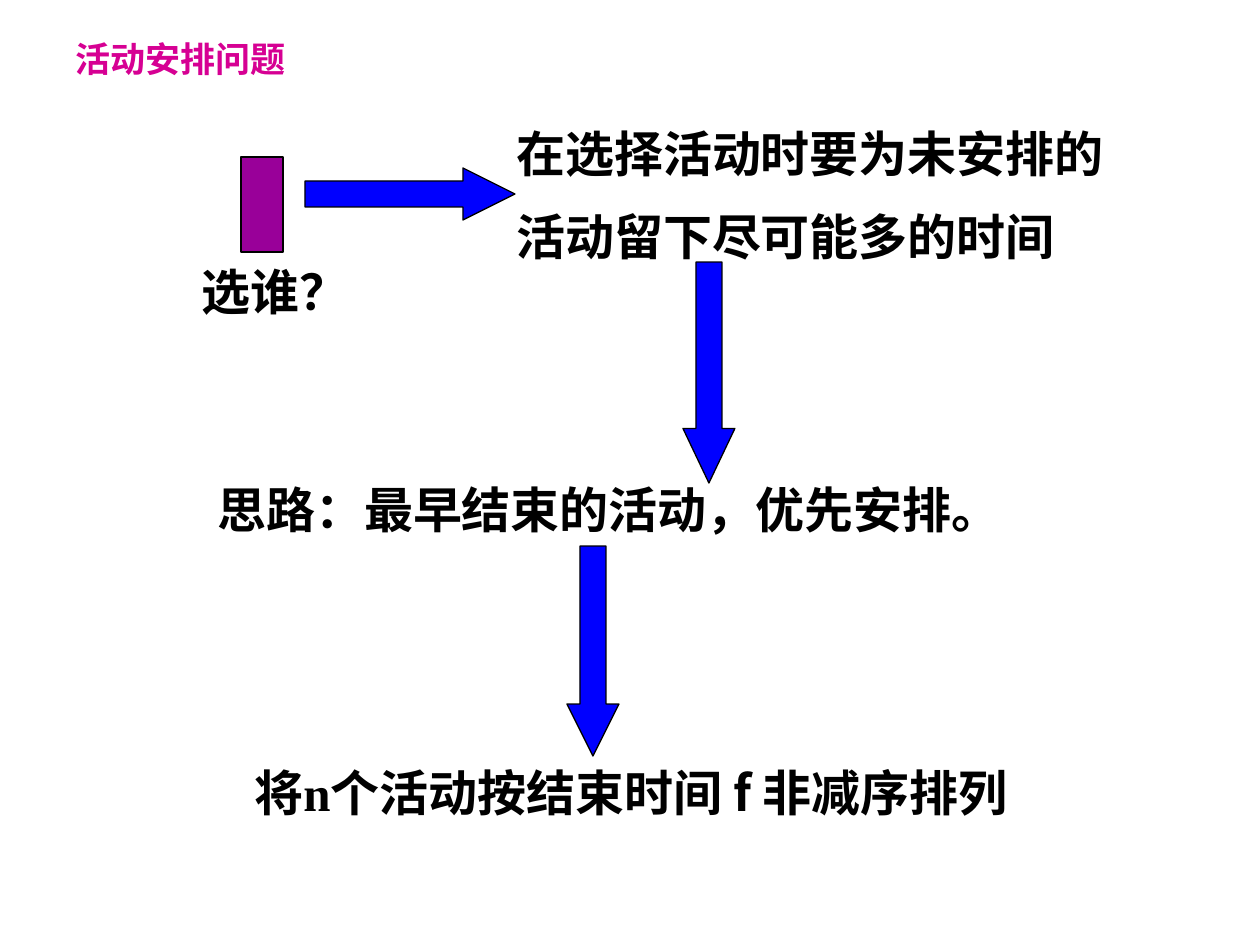
from lxml.etree import SubElement
from pptx import Presentation
from pptx.dml.color import RGBColor
from pptx.enum.lang import MSO_LANGUAGE_ID as Language
from pptx.enum.shapes import MSO_SHAPE as Shape
from pptx.enum.text import MSO_ANCHOR as Anchor, MSO_AUTO_SIZE as AutoSize, PP_ALIGN as Align
from pptx.oxml.ns import qn
from pptx.util import Pt

PX = 914400 / 126
COLORS = {"title": "D60093", "text": "000000", "block": "990099", "arrow": "0000FF"}
SANS, SERIF, ARIAL = "Noto Sans CJK SC", "Times New Roman", "Arial"


def emu(*lengths):
    return [round(length * PX) for length in lengths]


def write(box, spans, size, color, wrap=True, spacing=1.0):
    frame = box.text_frame
    frame.word_wrap = wrap
    frame.auto_size = AutoSize.SHAPE_TO_FIT_TEXT
    frame.vertical_anchor = Anchor.TOP
    para = frame.paragraphs[0]
    para.alignment = Align.LEFT
    para.line_spacing = spacing
    for text, font_name in spans:
        span = para.add_run()
        span.text = text
        font = span.font
        font.name, font.size, font.bold = font_name, Pt(size), True
        font.language_id = Language.SIMPLIFIED_CHINESE
        font.color.rgb = RGBColor.from_string(COLORS[color])
        # East Asian typeface for the Chinese characters
        SubElement(span._r.get_or_add_rPr(), qn("a:ea")).set("typeface", SANS)


deck = Presentation()
deck.slide_width, deck.slide_height = emu(1260, 945)
page = deck.slides.add_slide(deck.slide_layouts[5])

# Title
title = page.shapes.title
title.left, title.top, title.width, title.height = emu(63, 31, 294, 55)
write(title, [("活动安排问题", SANS)], 20, "title")

# Statements: place, spans, wrap, line spacing
statements = [
    ((189, 255, 141, 72), [("选谁？", SERIF)], True, 1.0),
    ((504, 94, 620, 179), [("在选择活动时要为未安排的活动留下尽可能多的时间", SANS)], True, 1.4),
    ((205, 473, 809, 72), [("思路：最早结束的活动，优先安排。", ARIAL)], False, 1.0),
    ((242, 756, 824, 72),
     [("将", SANS), ("n", SERIF), ("个活动按结束时间 f 非减序排列", SANS)], True, 1.0),
]
for place, spans, wrap, spacing in statements:
    write(page.shapes.add_textbox(*emu(*place)), spans, 28, "text", wrap, spacing)

# Activity block and the arrows between the steps
figures = [
    (Shape.RECTANGLE, (241, 157, 42, 95), "block", []),
    (Shape.RIGHT_ARROW, (305, 168, 210, 52), "arrow", [0.5, 1]),
    (Shape.DOWN_ARROW, (683, 262, 52, 221), "arrow", [0.5, 1.05]),
    (Shape.DOWN_ARROW, (567, 546, 52, 210), "arrow", [0.5, 1]),
]
for kind, place, color, adjustments in figures:
    figure = page.shapes.add_shape(kind, *emu(*place))
    figure.shadow.inherit = False
    figure.fill.solid()
    figure.fill.fore_color.rgb = RGBColor.from_string(COLORS[color])
    figure.line.color.rgb = RGBColor.from_string(COLORS["text"])
    figure.line.width = Pt(0.75)
    for index, value in enumerate(adjustments):
        figure.adjustments[index] = value

deck.save("out.pptx")
